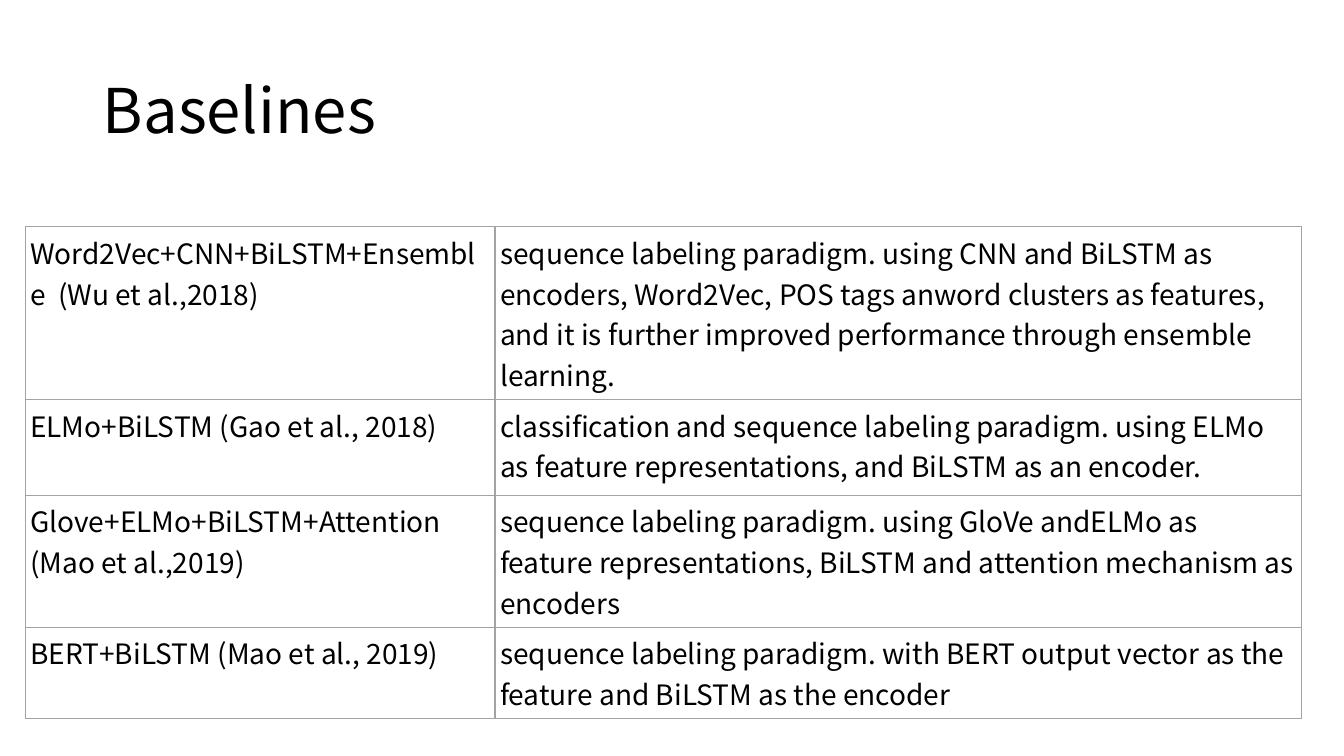
"""Build the Baselines slide: a title above a table of models and their descriptions."""
from lxml.etree import SubElement
from pptx import Presentation
from pptx.dml.color import RGBColor
from pptx.enum.text import MSO_ANCHOR, PP_ALIGN
from pptx.oxml.ns import qn
from pptx.util import Inches, Pt

TITLE = "Baselines"
BASELINES = [
    ("Word2Vec+CNN+BiLSTM+Ensemble  (Wu et al.,2018)",
     "sequence labeling paradigm. using CNN and BiLSTM as encoders, Word2Vec, "
     "POS tags anword clusters as features, and it is further improved "
     "performance through ensemble learning."),
    ("ELMo+BiLSTM (Gao et al., 2018)",
     "classification and sequence labeling paradigm. using ELMo as feature "
     "representations, and BiLSTM as an encoder."),
    ("Glove+ELMo+BiLSTM+Attention (Mao et al.,2019)",
     "sequence labeling paradigm. using GloVe andELMo as feature "
     "representations, BiLSTM and attention mechanism as encoders"),
    ("BERT+BiLSTM (Mao et al., 2019)",
     "sequence labeling paradigm. with BERT output vector as the feature "
     "and BiLSTM as the encoder"),
]
COLUMN_WIDTHS = [Inches(4.66), Inches(8)]
ROW_HEIGHTS = [Inches(0.95)] * 3 + [Inches(0.56)]
CELL_MARGIN = Inches(0.05)

FONT = "Noto Sans CJK SC"
BLACK = RGBColor(0x00, 0x00, 0x00)
GRID_GRAY = RGBColor(0xA3, 0xA3, 0xA3)


def add_text(paragraph, text, size):
    run = paragraph.add_run()
    run.text = text
    run.font.name = FONT
    run.font.size = Pt(size)
    run.font.color.rgb = BLACK


def add_borders(cell):
    properties = cell._tc.get_or_add_tcPr()
    for position, side in enumerate(("lnL", "lnR", "lnT", "lnB")):
        line = SubElement(properties, qn(f"a:{side}"), w=str(Pt(1)))
        fill = SubElement(line, qn("a:solidFill"))
        SubElement(fill, qn("a:srgbClr"), val=str(GRID_GRAY))
        properties.insert(position, line)


def add_title(slide):
    title = slide.shapes.title
    title.left, title.top = Inches(0.92), Inches(0.4)
    title.width, title.height = Inches(11.5), Inches(1.45)
    title.text_frame.vertical_anchor = MSO_ANCHOR.MIDDLE
    heading = title.text_frame.paragraphs[0]
    heading.alignment = PP_ALIGN.LEFT
    heading.line_spacing = 0.9
    add_text(heading, TITLE, 44)


def add_baselines(slide):
    table = slide.shapes.add_table(
        len(BASELINES), len(COLUMN_WIDTHS), Inches(0.25), Inches(2.25),
        sum(COLUMN_WIDTHS), sum(ROW_HEIGHTS)).table
    table.first_row = table.horz_banding = False
    for column, width in zip(table.columns, COLUMN_WIDTHS):
        column.width = width
    for row, height, texts in zip(table.rows, ROW_HEIGHTS, BASELINES):
        row.height = height
        for cell, text in zip(row.cells, texts):
            cell.margin_left = cell.margin_right = CELL_MARGIN
            cell.margin_top = cell.margin_bottom = CELL_MARGIN
            cell.fill.background()
            add_borders(cell)
            add_text(cell.text_frame.paragraphs[0], text, 20)


def main():
    deck = Presentation()
    deck.slide_width, deck.slide_height = Inches(13.33), Inches(7.5)
    slide = deck.slides.add_slide(deck.slide_layouts.get_by_name("Title Only"))
    add_title(slide)
    add_baselines(slide)
    deck.save("out.pptx")


if __name__ == "__main__":
    main()
